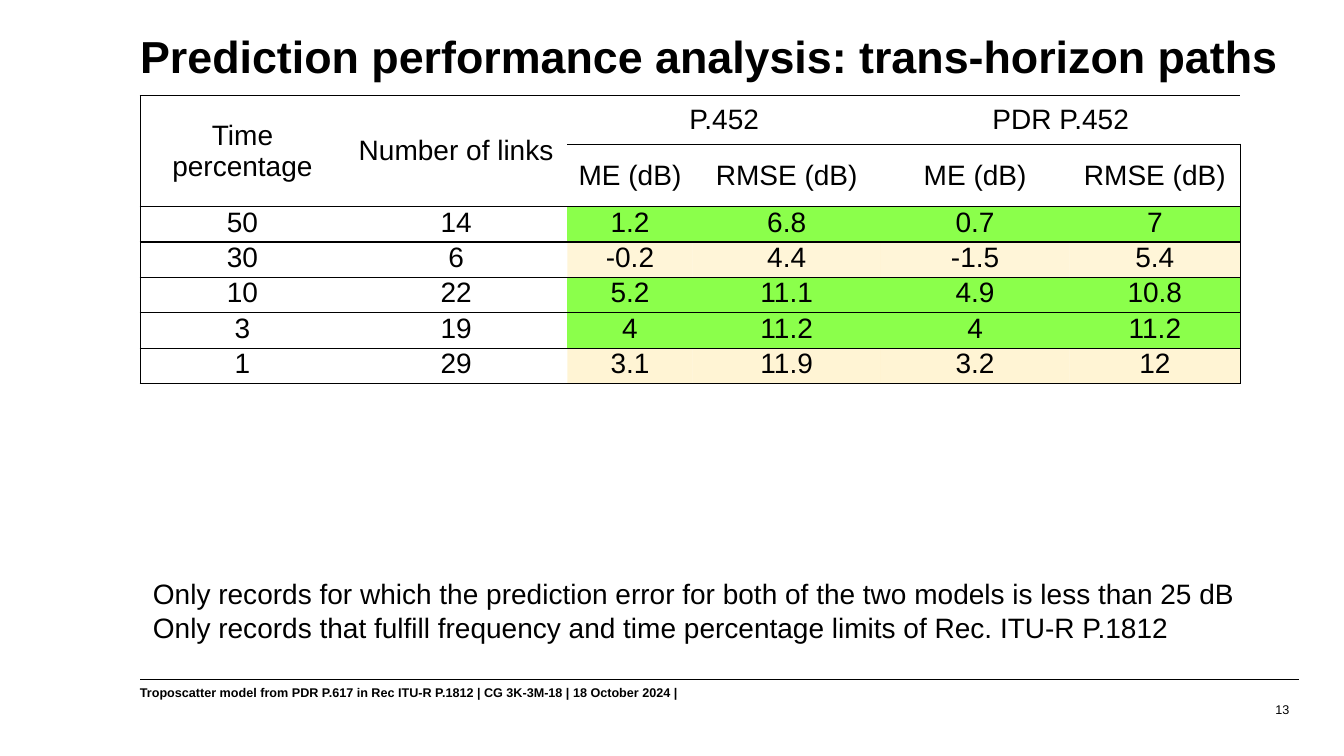
from lxml import etree
from pptx import Presentation
from pptx.dml.color import RGBColor
from pptx.enum import shapes, text
from pptx.oxml import ns
from pptx.util import Pt

BLACK = RGBColor(0x00, 0x00, 0x00)
WHITE = RGBColor(0xFF, 0xFF, 0xFF)
GREEN = RGBColor(0x8B, 0xFF, 0x4B)
CREAM = RGBColor(0xFF, 0xEB, 0xAB)


def style(para, size, bold=False, align=text.PP_ALIGN.LEFT):
    para.font.name = "Arial"
    para.font.size = Pt(size)
    para.font.bold = bold
    para.font.color.rgb = BLACK
    para.alignment = align


def set_border(cell, side, visible):
    line = etree.SubElement(cell._tc.get_or_add_tcPr(), ns.qn(f"a:ln{side}"), w=str(Pt(1)))
    if visible:
        fill = etree.SubElement(line, ns.qn("a:solidFill"))
        etree.SubElement(fill, ns.qn("a:srgbClr"), val=str(BLACK))
    else:
        etree.SubElement(line, ns.qn("a:noFill"))


deck = Presentation()
deck.slide_width, deck.slide_height = Pt(960), Pt(540)
page = deck.slides.add_slide(deck.slide_layouts[5])

# Title
title = page.shapes.title
title.left, title.top, title.width, title.height = Pt(92.9), Pt(20.9), Pt(835.2), Pt(69.1)
title.text_frame.text = "Prediction performance analysis: trans-horizon paths"
title.text_frame.vertical_anchor = text.MSO_ANCHOR.TOP
title.text_frame.auto_size = text.MSO_AUTO_SIZE.NONE
style(title.text_frame.paragraphs[0], 32, bold=True)
title.text_frame.paragraphs[0].line_spacing = 0.9

# Footer rule
rule = page.shapes.add_connector(
    shapes.MSO_CONNECTOR.STRAIGHT, Pt(100.1), Pt(485.3), Pt(928.1), Pt(485.3))
rule.line.color.rgb = BLACK
rule.line.width = Pt(0.5)
etree.SubElement(rule._element.spPr, ns.qn("a:effectLst"))

# Results table: rows, then the fill and opacity of each row's result cells
rows = [
    ("Time percentage", "Number of links", "P.452", "", "PDR P.452", ""),
    ("", "", "ME (dB)", "RMSE (dB)", "ME (dB)", "RMSE (dB)"),
    ("50", "14", "1.2", "6.8", "0.7", "7"),
    ("30", "6", "-0.2", "4.4", "-1.5", "5.4"),
    ("10", "22", "5.2", "11.1", "4.9", "10.8"),
    ("3", "19", "4", "11.2", "4", "11.2"),
    ("1", "29", "3.1", "11.9", "3.2", "12"),
]
result_fills = [(WHITE, 100), (WHITE, 100), (GREEN, 100), (CREAM, 46),
                (GREEN, 100), (GREEN, 100), (CREAM, 50)]
column_widths = [146.2, 159.1, 89.3, 134.6, 134.6, 122.2]
header_rows = 2
label_columns = 2
last_column = len(column_widths) - 1

table = page.shapes.add_table(
    len(rows), len(column_widths), Pt(100.1), Pt(68.4), Pt(786), Pt(195.6)).table
table.first_row = table.horz_banding = False
for column, width in zip(table.columns, column_widths):
    column.width = Pt(width)

for r, (values, (color, opacity)) in enumerate(zip(rows, result_fills)):
    is_header = r < header_rows
    table.rows[r].height = Pt(34.6 if is_header else 25.3)
    for c, value in enumerate(values):
        cell = table.cell(r, c)
        for side, visible in (("L", c == 0), ("R", c == last_column), ("T", True), ("B", True)):
            set_border(cell, side, visible)
        cell.fill.solid()
        cell.fill.fore_color.rgb = WHITE if c < label_columns else color
        if c >= label_columns and opacity < 100:
            shade = cell._tc.tcPr.find(ns.qn("a:solidFill")).find(ns.qn("a:srgbClr"))
            etree.SubElement(shade, ns.qn("a:alpha"), val=str(opacity * 1000))
        cell.margin_left = cell.margin_right = Pt(5)
        cell.margin_top = cell.margin_bottom = Pt(0)
        cell.vertical_anchor = text.MSO_ANCHOR.MIDDLE if is_header else text.MSO_ANCHOR.TOP
        cell.text = value
        para = cell.text_frame.paragraphs[0]
        style(para, 20, align=text.PP_ALIGN.CENTER)
        para.space_before = para.space_after = Pt(4 if is_header else 2)

# Merged headers
for c in range(label_columns):
    table.cell(0, c).merge(table.cell(1, c))
for c in (2, 4):
    table.cell(0, c).merge(table.cell(0, c + 1))

# Notes below the table, footer and page number
notes = ["Only records for which the prediction error for both of the two models is less than 25 dB",
         "Only records that fulfill frequency and time percentage limits of Rec. ITU-R P.1812"]
footer = ["Troposcatter model from PDR P.617 in Rec ITU-R P.1812 | CG 3K-3M-18 | 18 October 2024 |"]
blocks = [
    (notes, (102.2, 408.2, 792, 55.4), 20, False, text.PP_ALIGN.LEFT, text.MSO_ANCHOR.TOP, False),
    (footer, (92.9, 486, 542.2, 18), 9, True, text.PP_ALIGN.LEFT, text.MSO_ANCHOR.TOP, True),
    (["13"], (717.8, 486.7, 210.2, 28.8), 9, False, text.PP_ALIGN.RIGHT, text.MSO_ANCHOR.BOTTOM, True),
]
for lines, place, size, bold, align, anchor, wrap in blocks:
    box = page.shapes.add_textbox(*map(Pt, place))
    box.text_frame.word_wrap = wrap
    box.text_frame.vertical_anchor = anchor
    box.text_frame.text = "\n".join(lines)
    for para in box.text_frame.paragraphs:
        style(para, size, bold, align)

deck.save("out.pptx")
